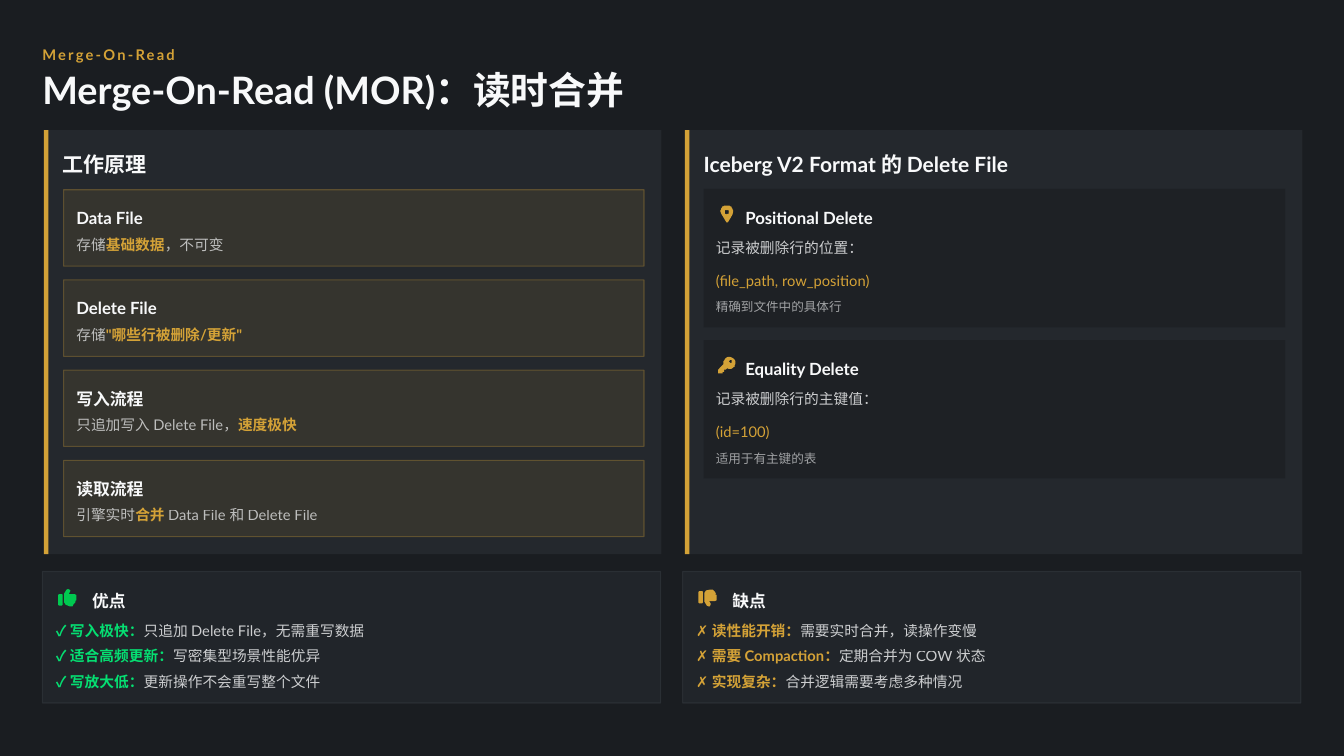
from math import cos, radians, sin

from lxml import etree
from pptx import Presentation
from pptx.dml.color import RGBColor
from pptx.enum import shapes, text
from pptx.oxml.ns import qn
from pptx.util import Inches, Pt

COLORS = {
    "night": "1A1D21",
    "panel": "343A40",
    "border": "495057",
    "gold": "D4A237",
    "white": "F8F9FA",
    "thumb": "00C950",
    "green": "05DF72",
}
FONT = "Lato"

PRINCIPLES = [
    ("Data File", [("存储", 0), ("基础数据", 1), ("，不可变", 0)]),
    ("Delete File", [("存储", 0), ('"哪些行被删除/更新"', 1)]),
    ("写入流程", [("只追加写入 Delete File，", 0), ("速度极快", 1)]),
    ("读取流程", [("引擎实时", 0), ("合并", 1), (" Data File 和 Delete File", 0)]),
]
PROS = [
    ("✓ 写入极快：", "只追加 Delete File，无需重写数据"),
    ("✓ 适合高频更新：", "写密集型场景性能优异"),
    ("✓ 写放大低：", "更新操作不会重写整个文件"),
]
CONS = [
    ("✗ 读性能开销：", "需要实时合并，读操作变慢"),
    ("✗ 需要 Compaction：", "定期合并为 COW 状态"),
    ("✗ 实现复杂：", "合并逻辑需要考虑多种情况"),
]


def arc(cx, cy, radius, start, end, steps=24):
    """Points along a circle, with angles in degrees clockwise from the right."""
    angles = [radians(start + (end - start) * i / steps) for i in range(steps + 1)]
    return [(cx + radius * cos(a), cy + radius * sin(a)) for a in angles]


def cuff(top, bottom):
    return [(0, top + 1), (1, top), (5, top), (6, top + 1),
            (6, bottom - 1), (5, bottom), (1, bottom), (0, bottom - 1)]


# Icon outlines in hundredths of an inch
PIN = [
    arc(8.5, 8, 8.5, 180, 360) + [(15.5, 12.5), (9.5, 22), (7.5, 22), (1.5, 12.5)],
    arc(8.5, 8.5, 3, 360, 0),
]
KEY = [
    arc(15, 8, 8, 166, 472) + [(10.5, 17), (8, 17), (8, 20), (6, 20), (6, 22),
                               (0, 22), (0, 17)],
    arc(16.5, 6, 2, 360, 0),
]
HAND = [(13, 1), (15, 1.5), (16, 3), (16, 4.5), (14, 8), (22, 8), (24, 9),
        (24.5, 11), (23.5, 12.5), (24.5, 14), (24, 16), (22, 17), (23, 18),
        (22.5, 20), (21, 20.5), (20.5, 22), (19, 23.5), (15, 23.5), (10, 22),
        (8, 19), (8, 9), (8.5, 7), (11, 2)]
THUMB_UP = [cuff(8, 23), HAND]
THUMB_DOWN = [cuff(4, 20), [(x, 25 - y) for x, y in HAND]]


def paint(fill, color, element, opacity=100):
    """Solid fill, with the opacity written to the colour inside element."""
    fill.solid()
    fill.fore_color.rgb = RGBColor.from_string(COLORS[color])
    if opacity < 100:
        tint = next(element.iter(qn("a:srgbClr")))
        etree.SubElement(tint, qn("a:alpha")).set("val", str(opacity * 1000))


def add_rect(page, x, y, w, h, color, opacity=100, line=None):
    rect = page.shapes.add_shape(shapes.MSO_SHAPE.RECTANGLE,
                                 Inches(x), Inches(y), Inches(w), Inches(h))
    rect.shadow.inherit = False
    paint(rect.fill, color, rect.element.spPr, opacity)
    if line:
        rect.line.width = Pt(1)
        paint(rect.line.fill, line, rect.line.fill and rect.element.spPr.find(qn("a:ln")), 30)
    else:
        rect.line.fill.background()


def add_icon(page, x, y, outlines, color):
    builder = None
    for outline in outlines:
        if builder is None:
            builder = page.shapes.build_freeform(*outline[0], scale=Inches(0.01))
        else:
            builder.move_to(*outline[0])
        builder.add_line_segments(outline[1:], close=True)
    icon = builder.convert_to_shape(Inches(x), Inches(y))
    icon.shadow.inherit = False
    paint(icon.fill, color, icon.element.spPr)
    icon.line.fill.background()


def add_text(page, x, y, w, h, spans, size, spacing=1.2, tracking=0):
    """One line of text; each span is (words, color, opacity, bold)."""
    box = page.shapes.add_textbox(Inches(x), Inches(y), Inches(w), Inches(h))
    frame = box.text_frame
    frame.word_wrap = True
    frame.vertical_anchor = text.MSO_ANCHOR.MIDDLE
    frame.margin_left = frame.margin_right = frame.margin_top = frame.margin_bottom = 0
    para = frame.paragraphs[0]
    para.line_spacing = spacing
    for words, color, opacity, bold in spans:
        span = para.add_run()
        span.text = words
        span.font.name = FONT
        span.font.size = Pt(size)
        span.font.bold = bold
        paint(span.font.fill, color, span._r, opacity)
        if tracking:
            span._r.get_or_add_rPr().set("spc", str(tracking))


def add_heading(page, x, y, w, words):
    add_text(page, x, y, w, 0.33, [(words, "white", 100, True)], 16, 1.3)


def add_panel(page, x, title):
    add_rect(page, x, 1.72, 8.17, 5.61, "panel", 40)
    add_rect(page, x, 1.72, 0.06, 5.61, "gold")
    add_text(page, x + 0.25, 1.94, 7.83, 0.39, [(title, "white", 100, True)], 20)


def add_principle(page, y, title, parts):
    add_rect(page, 0.84, y, 7.68, 1.01, "gold", 10, line="gold")
    add_heading(page, 1.01, y + 0.17, 7.44, title)
    spans = [(words, "gold", 100, True) if strong else (words, "white", 70, False)
             for words, strong in parts]
    add_text(page, 1.01, y + 0.56, 7.43, 0.28, spans, 14)


def add_delete_kind(page, y, icon, icon_x, title, summary, key, note):
    add_rect(page, 9.31, y, 7.69, 1.83, "night", 60)
    add_icon(page, icon_x, y + 0.22, icon, "gold")
    add_heading(page, 9.86, y + 0.17, 1.83, title)
    add_text(page, 9.47, y + 0.61, 7.46, 0.28, [(summary, "white", 80, False)], 14)
    add_text(page, 9.47, y + 1.07, 3.02, 0.23, [(key, "gold", 100, False)], 14)
    add_text(page, 9.47, y + 1.44, 7.44, 0.22, [(note, "white", 60, False)], 12, 1.1)


def add_verdict(page, x, title, icon, icon_color, label_color, points):
    add_rect(page, x, 7.56, 8.18, 1.74, "panel", 30, line="border")
    add_icon(page, x + 0.21, 7.78, icon, icon_color)
    add_heading(page, x + 0.66, 7.74, 0.56, title)
    for row, (label, detail) in enumerate(points):
        spans = [(label, label_color, 100, True), (detail, "white", 80, False)]
        add_text(page, x + 0.18, 8.18 + row * 0.335, 7.93, 0.28, spans, 14)


def main():
    deck = Presentation()
    deck.slide_width, deck.slide_height = Inches(17.78), Inches(10)
    page = deck.slides.add_slide(deck.slide_layouts[6])
    background = page.background.fill
    background.solid()
    background.fore_color.rgb = RGBColor.from_string(COLORS["night"])

    add_text(page, 0.56, 0.56, 16.76, 0.28,
             [("Merge-On-Read", "gold", 100, True)], 14, tracking=210)
    add_text(page, 0.56, 0.94, 16.92, 0.56,
             [("Merge-On-Read (MOR)：读时合并", "white", 100, True)], 36, 0.9)

    add_panel(page, 0.58, "工作原理")
    for row, (title, parts) in enumerate(PRINCIPLES):
        add_principle(page, 2.51 + row * 1.193, title, parts)

    add_panel(page, 9.06, "Iceberg V2 Format 的 Delete File")
    add_delete_kind(page, 2.5, PIN, 9.53, "Positional Delete", "记录被删除行的位置：",
                    "(file_path, row_position)", "精确到文件中的具体行")
    add_delete_kind(page, 4.5, KEY, 9.5, "Equality Delete", "记录被删除行的主键值：",
                    "(id=100)", "适用于有主键的表")

    add_verdict(page, 0.56, "优点", THUMB_UP, "thumb", "green", PROS)
    add_verdict(page, 9.03, "缺点", THUMB_DOWN, "gold", "gold", CONS)
    deck.save("out.pptx")


if __name__ == "__main__":
    main()
